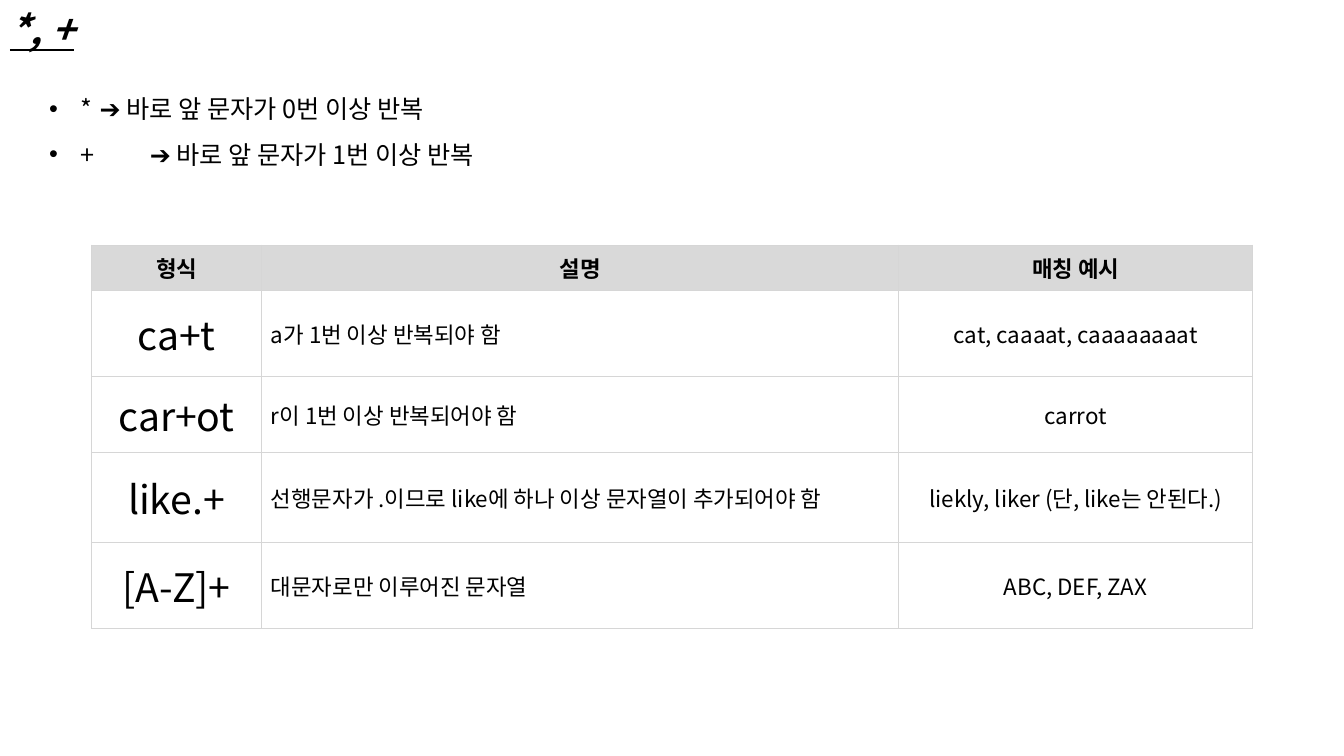
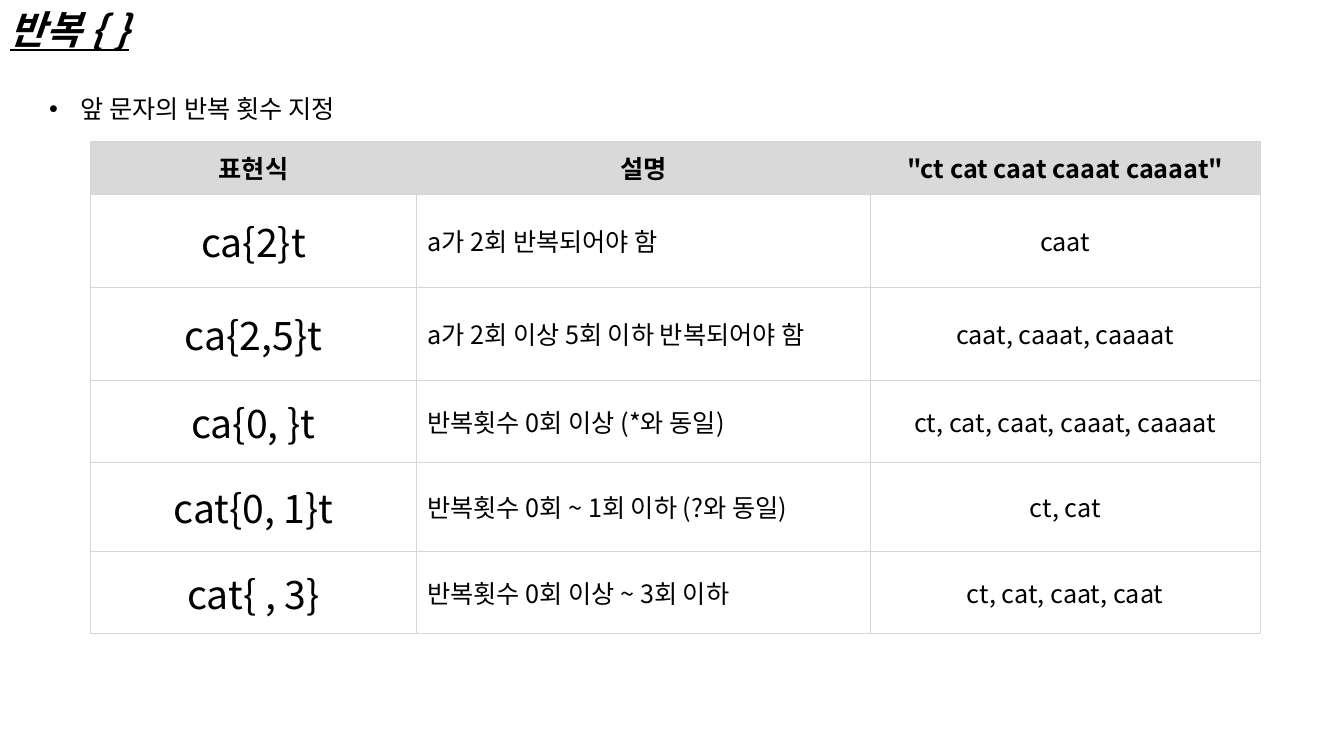
from lxml.etree import SubElement
from pptx import Presentation
from pptx.dml.color import RGBColor
from pptx.enum.text import MSO_ANCHOR, MSO_AUTO_SIZE, PP_ALIGN
from pptx.oxml.ns import qn
from pptx.util import Pt

FONT = "Noto Sans CJK JP"
COLORS = {"text": "000000", "header": "D9D9D9", "body": "FFFFFF", "border": "D6D6D6"}
TITLE_SIZE = PATTERN_SIZE = 28
BULLET_SIZE = 18
BULLET_INDENT = 22.5
BORDER_WIDTH = 0.6


class Deck:
    """Holds the shared style and the slide being filled."""

    def __init__(self):
        self.presentation = Presentation()
        self.presentation.slide_width = Pt(960)
        self.presentation.slide_height = Pt(540)
        self.slide = None

    def add_slide(self, title):
        self.slide = self.presentation.slides.add_slide(self.presentation.slide_layouts[6])
        heading = self.add_text_box(0, 0, 379, 41).paragraphs[0]
        heading.text = title
        self.format_runs(heading, TITLE_SIZE, bold=True, italic=True, underline=True)

    def add_text_box(self, left, top, width, height, wrap=True):
        frame = self.slide.shapes.add_textbox(Pt(left), Pt(top), Pt(width), Pt(height)).text_frame
        frame.word_wrap = wrap
        frame.auto_size = MSO_AUTO_SIZE.SHAPE_TO_FIT_TEXT
        return frame

    def format_runs(self, paragraph, size, bold=False, italic=False, underline=False):
        for run in paragraph.runs:
            font = run.font
            font.size = Pt(size)
            font.bold, font.italic, font.underline = bold, italic, underline
            font.color.rgb = RGBColor.from_string(COLORS["text"])
            font.name = FONT
            SubElement(font._element, qn("a:ea"), typeface=FONT)

    def add_bullets(self, lines, width, height):
        frame = self.add_text_box(28, 52.5, width, height, wrap=False)
        frame.text = "\n".join(lines)
        for paragraph in frame.paragraphs:
            paragraph.line_spacing = 1.5
            self.format_runs(paragraph, BULLET_SIZE)
            properties = paragraph._p.get_or_add_pPr()
            properties.set("marL", str(Pt(BULLET_INDENT)))
            properties.set("indent", str(-Pt(BULLET_INDENT)))
            SubElement(properties, qn("a:buFont"), typeface="Arial")
            SubElement(properties, qn("a:buChar"), char="•")

    def add_pattern_table(self, left, top, widths, heights, rows, size, padding):
        """Grey header row; then pattern, explanation and matches in each row."""
        table = self.slide.shapes.add_table(
            len(rows), len(widths), Pt(left), Pt(top), Pt(sum(widths)), Pt(sum(heights))
        ).table
        table.horz_banding = False
        for column, width in zip(table.columns, widths):
            column.width = Pt(width)
        for row, height in zip(table.rows, heights):
            row.height = Pt(height)
        for row_index, texts in enumerate(rows):
            is_header = row_index == 0
            for column_index, text in enumerate(texts):
                is_pattern = column_index == 0 and not is_header
                is_explanation = column_index == 1 and not is_header
                cell = table.cell(row_index, column_index)
                cell.text_frame.text = text
                cell.vertical_anchor = MSO_ANCHOR.MIDDLE
                cell.margin_left = cell.margin_right = Pt(padding)
                cell.margin_top = cell.margin_bottom = Pt(padding / 2)
                paragraph = cell.text_frame.paragraphs[0]
                paragraph.alignment = PP_ALIGN.LEFT if is_explanation else PP_ALIGN.CENTER
                self.format_runs(paragraph, PATTERN_SIZE if is_pattern else size, bold=is_header)
                self.add_borders(cell)
                cell.fill.solid()
                fill_color = COLORS["header" if is_header else "body"]
                cell.fill.fore_color.rgb = RGBColor.from_string(fill_color)

    def add_borders(self, cell):
        properties = cell._tc.get_or_add_tcPr()
        for side in ("lnL", "lnR", "lnT", "lnB"):
            border = SubElement(properties, qn(f"a:{side}"), w=str(Pt(BORDER_WIDTH)))
            fill = SubElement(border, qn("a:solidFill"))
            SubElement(fill, qn("a:srgbClr"), val=COLORS["border"])


def build_plus_slide(deck):
    deck.add_slide("*, +")
    deck.add_bullets(
        ["* \t➔ 바로 앞 문자가 0번 이상 반복", "+ \t➔ 바로 앞 문자가 1번 이상 반복"], 348, 69
    )
    rows = [
        ("형식", "설명", "매칭 예시"),
        ("ca+t", "a가 1번 이상 반복되야 함", "cat, caaaat, caaaaaaaat"),
        ("car+ot", "r이 1번 이상 반복되어야 함", "carrot"),
        ("like.+", "선행문자가 .이므로 like에 하나 이상 문자열이 추가되어야 함",
         "liekly, liker (단, like는 안된다.)"),
        ("[A-Z]+", "대문자로만 이루어진 문자열", "ABC, DEF, ZAX"),
    ]
    deck.add_pattern_table(
        65.3, 175, [121.7, 455, 252.8], [32.4, 61.4, 54.4, 64.4, 61.4], rows, size=16, padding=6.5
    )


def build_braces_slide(deck):
    deck.add_slide("반복 { }")
    deck.add_bullets(["앞 문자의 반복 횟수 지정"], 240, 37)
    rows = [
        ("표현식", "설명", '"ct cat caat caaat caaaat"'),
        ("ca{2}t", "a가 2회 반복되어야 함", "caat"),
        ("ca{2,5}t", "a가 2회 이상 5회 이하 반복되어야 함", "caat, caaat, caaaat"),
        ("ca{0, }t", "반복횟수 0회 이상 (*와 동일)", "ct, cat, caat, caaat, caaaat"),
        ("cat{0, 1}t", "반복횟수 0회 ~ 1회 이하 (?와 동일)", "ct, cat"),
        ("cat{ , 3}", "반복횟수 0회 이상 ~ 3회 이하", "ct, cat, caat, caat"),
    ]
    deck.add_pattern_table(
        64.6, 100.8, [233, 324, 278.6], [38, 66.4, 66.4, 58.4, 63.8, 58.6], rows,
        size=18, padding=7.7
    )


def main():
    deck = Deck()
    build_plus_slide(deck)
    build_braces_slide(deck)
    deck.presentation.save("out.pptx")


if __name__ == "__main__":
    main()
